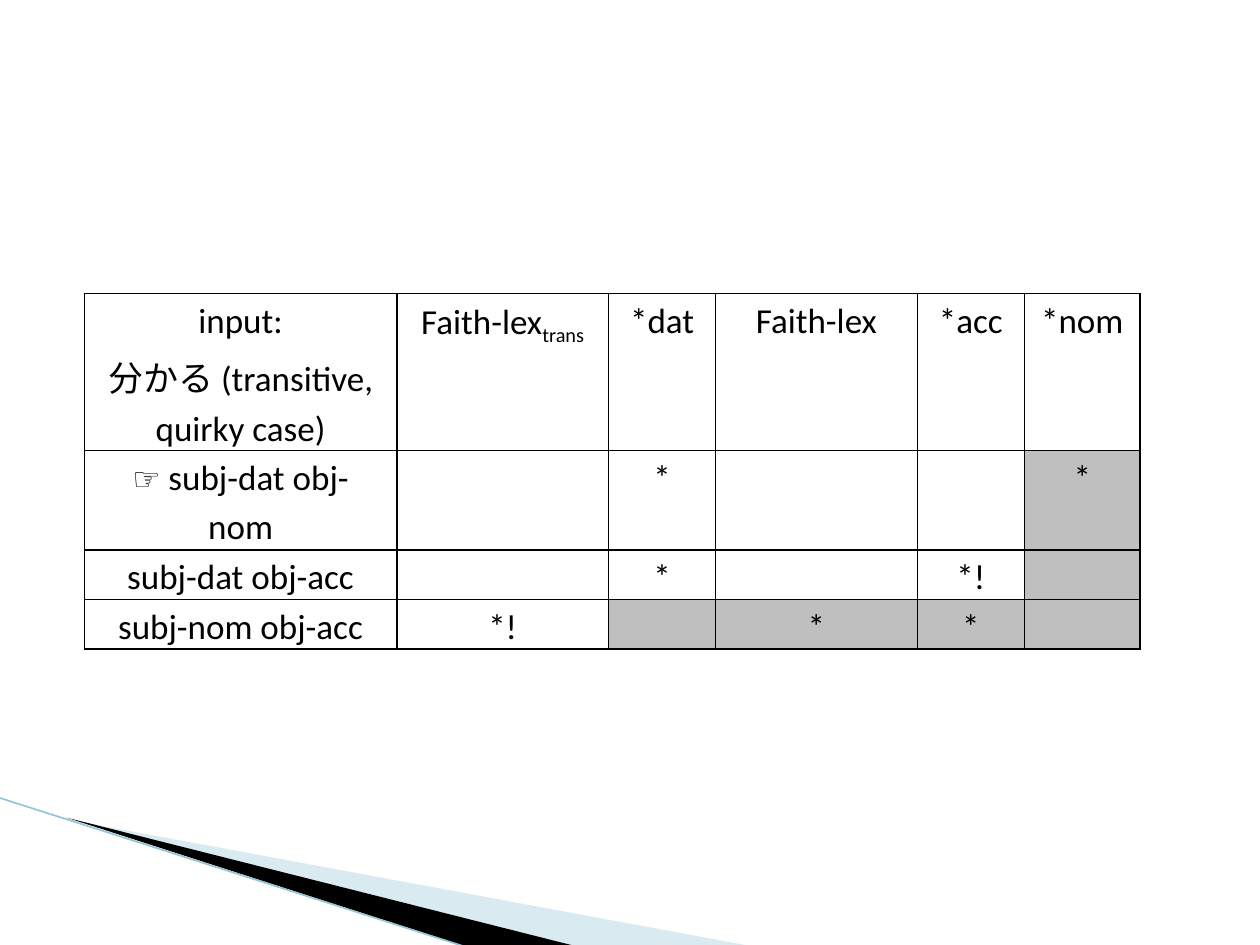
from lxml.etree import SubElement
from pptx import Presentation
from pptx.dml.color import RGBColor
from pptx.enum.shapes import MSO_CONNECTOR as Connector
from pptx.enum.text import PP_ALIGN as Align
from pptx.oxml.ns import qn
from pptx.util import Pt

BLACK = RGBColor(0, 0, 0)
GREY = RGBColor(0xBF, 0xBF, 0xBF)
PALE_BLUE = RGBColor(0xA0, 0xCB, 0xDC)
LINE_BLUE = RGBColor(0x97, 0xC5, 0xD8)

COLUMN_WIDTHS = [178.6, 121, 61.2, 115.2, 61.2, 66.2]
ROW_HEIGHTS = [85, 56.9, 28.1, 28.1]
TABLEAU = [
    ["input:\n分かる (transitive, quirky case)", "Faith-lex", "*dat",
     "Faith-lex", "*acc", "*nom"],
    [" subj-dat obj-nom", "", "*", "", "", "*"],
    ["subj-dat obj-acc", "", "*", "", "*!", ""],
    ["subj-nom obj-acc", "*!", "", "*", "*", ""],
]
FIRST_SHADED_COLUMN = [6, 5, 5, 2]


def add_wedge(slide, points, color, opacity=100):
    builder = slide.shapes.build_freeform(*map(Pt, points[0]), scale=1.0)
    builder.add_line_segments([(Pt(x), Pt(y)) for x, y in points[1:]])
    wedge = builder.convert_to_shape()
    wedge.shadow.inherit = False
    wedge.fill.solid()
    wedge.fill.fore_color.rgb = color
    wedge.line.fill.background()
    if opacity < 100:
        fill_color = wedge.fill._xPr.find(".//" + qn("a:srgbClr"))
        SubElement(fill_color, qn("a:alpha"), val=str(opacity * 1000))


def add_edge_line(slide, start, end):
    line = slide.shapes.add_connector(
        Connector.STRAIGHT, *map(Pt, start), *map(Pt, end))
    line.line.color.rgb = LINE_BLUE
    line.line.width = Pt(0.95)
    SubElement(line._element.spPr, qn("a:effectLst"))


def add_span(para, text, size=20, bold=False):
    span = para.add_run()
    span.text = text
    span.font.name = "Calibri"
    span.font.size = Pt(size)
    span.font.bold = bold
    span.font.color.rgb = BLACK
    return span


def set_borders(cell):
    properties = cell._tc.get_or_add_tcPr()
    for side in "LRTB":
        border = SubElement(properties, qn(f"a:ln{side}"), w=str(Pt(1)))
        fill = SubElement(border, qn("a:solidFill"))
        SubElement(fill, qn("a:srgbClr"), val=str(BLACK))


def format_cell(cell, shaded):
    cell.margin_left = cell.margin_right = Pt(9.4)
    cell.margin_top = cell.margin_bottom = 0
    set_borders(cell)
    if shaded:
        cell.fill.solid()
        cell.fill.fore_color.rgb = GREY
    else:
        cell.fill.background()


def write_cell(cell, text):
    frame = cell.text_frame
    for index, words in enumerate(text.split("\n")):
        para = frame.add_paragraph() if index else frame.paragraphs[0]
        para.alignment = Align.CENTER
        para.line_spacing = 1.15
        if words:
            add_span(para, words)


def add_tableau(slide):
    frame = slide.shapes.add_table(
        len(ROW_HEIGHTS), len(COLUMN_WIDTHS), Pt(48.2), Pt(167.8),
        Pt(sum(COLUMN_WIDTHS)), Pt(sum(ROW_HEIGHTS)))
    table = frame.table
    table.first_row = table.horz_banding = False
    for column, width in zip(table.columns, COLUMN_WIDTHS):
        column.width = Pt(width)
    for row, height in zip(table.rows, ROW_HEIGHTS):
        row.height = Pt(height)
    for r, texts in enumerate(TABLEAU):
        for c, text in enumerate(texts):
            cell = table.cell(r, c)
            format_cell(cell, c >= FIRST_SHADED_COLUMN[r])
            write_cell(cell, text)
    return table


def add_special_spans(table):
    """Add the subscript in the header and the hand that marks the winner."""
    header = table.cell(0, 1).text_frame.paragraphs[0]
    subscript = add_span(header, "trans")
    subscript.font._element.set("baseline", "-25000")
    winner = table.cell(1, 0).text_frame.paragraphs[0]
    hand = add_span(winner, "☞", size=18, bold=True)
    winner.runs[0]._r.addprevious(hand._r)


def main():
    deck = Presentation()
    deck.slide_width, deck.slide_height = Pt(720), Pt(540)
    slide = deck.slides.add_slide(deck.slide_layouts[6])
    add_wedge(slide, [(39.6, 468.5), (428.4, 540.5), (328.3, 540.5)],
              PALE_BLUE, opacity=40)
    add_wedge(slide, [(38.2, 467.3), (329, 540.7), (267.8, 541.4)], BLACK)
    add_edge_line(slide, (-0.7, 455.8), (267.1, 541.4))
    add_special_spans(add_tableau(slide))
    deck.save("out.pptx")


if __name__ == "__main__":
    main()
